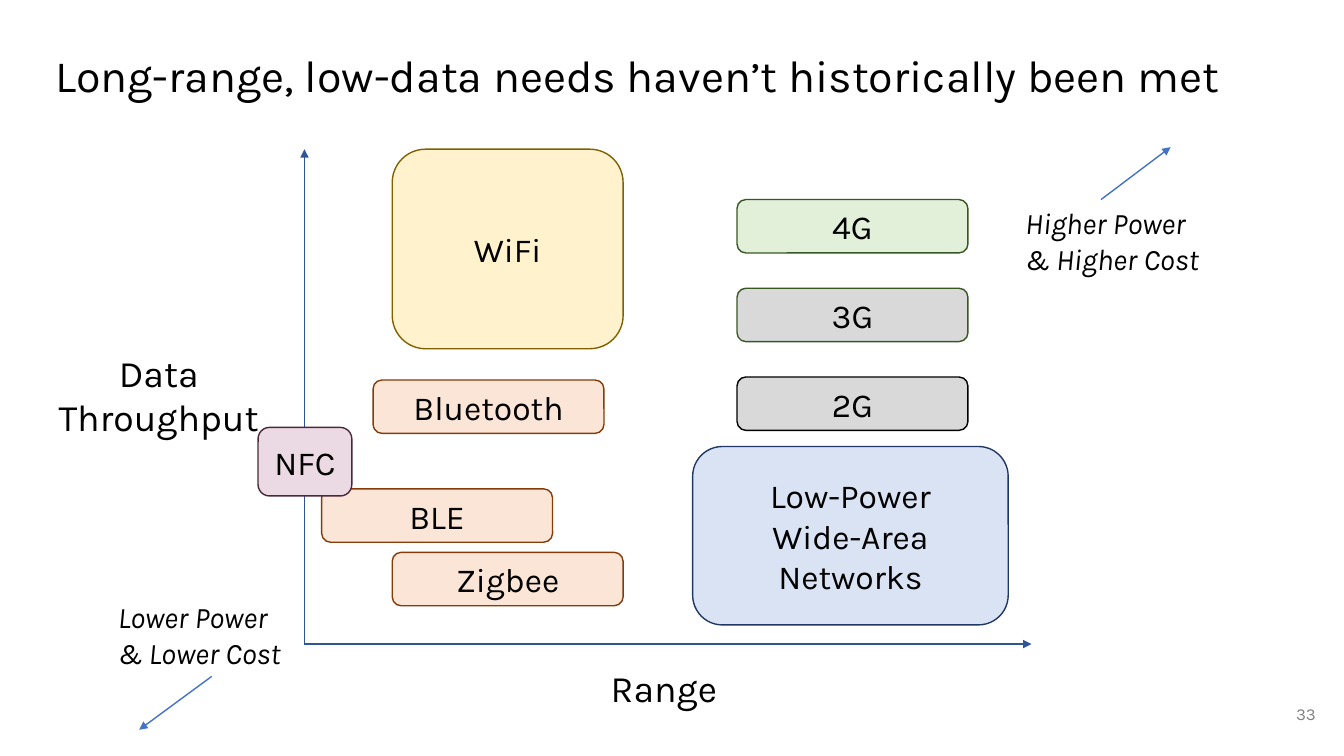
from pptx import Presentation
from pptx import util as u
from pptx.dml.color import RGBColor
from pptx.enum import shapes, text
from pptx.oxml import ns, xmlchemy

ALIGN = text.PP_ALIGN
ANCHOR = text.MSO_ANCHOR


def color(value):
    return RGBColor.from_string(value)


class Slide:
    font = "Karla"
    ink = "000000"
    line_width = u.Pt(1)

    def __init__(self, deck):
        self.page = deck.slides.add_slide(deck.slide_layouts[6])

    def fill_text(self, frame, paragraphs, size, align, ink=None, italic=False, spacing=None):
        frame.word_wrap = True
        for index, content in enumerate(paragraphs):
            para = frame.paragraphs[0] if index == 0 else frame.add_paragraph()
            para.text = content
            para.alignment = align
            para.line_spacing = spacing
            para.font.name = self.font
            para.font.size = u.Pt(size)
            para.font.italic = italic
            para.font.color.rgb = color(ink or self.ink)

    def label(self, paragraphs, left, top, width, height, size, align=ALIGN.LEFT,
              anchor=ANCHOR.TOP, inset=None, **style):
        box = self.page.shapes.add_textbox(*map(u.Inches, (left, top, width, height)))
        frame = box.text_frame
        frame.vertical_anchor = anchor
        if inset is not None:
            frame.margin_left = frame.margin_right = u.Inches(inset)
            frame.margin_top = frame.margin_bottom = u.Inches(inset)
        self.fill_text(frame, paragraphs, size, align, **style)

    def block(self, name, left, top, fill, line, width=2.29, height=0.53):
        box = self.page.shapes.add_shape(
            shapes.MSO_SHAPE.ROUNDED_RECTANGLE, *map(u.Inches, (left, top, width, height)))
        box.shadow.inherit = False
        box.fill.solid()
        box.fill.fore_color.rgb = color(fill)
        box.line.color.rgb = color(line)
        box.line.width = self.line_width
        box.text_frame.vertical_anchor = ANCHOR.MIDDLE
        self.fill_text(box.text_frame, [name], 24, ALIGN.CENTER)

    def arrow(self, start, end, line):
        arrow = self.page.shapes.add_connector(
            shapes.MSO_CONNECTOR.STRAIGHT, *map(u.Inches, start + end))
        arrow.line.color.rgb = color(line)
        arrow.line.width = self.line_width
        head = xmlchemy.OxmlElement("a:tailEnd")
        head.set("type", "triangle")
        properties = arrow._element.spPr
        properties.find(ns.qn("a:ln")).append(head)
        properties.append(xmlchemy.OxmlElement("a:effectLst"))


def main():
    deck = Presentation()
    deck.slide_width = u.Inches(13.33)
    deck.slide_height = u.Inches(7.5)
    slide = Slide(deck)

    slide.label(["Long-range, low-data needs haven’t historically been met"],
                0.45, 0.43, 12.42, 0.84, 32, inset=0.1, spacing=0.9)
    slide.label(["33"], 12.35, 6.8, 0.8, 0.57, 12, ALIGN.RIGHT, ANCHOR.MIDDLE,
                inset=0.1, ink="808080")

    origin = (3.02, 6.39)
    for axis_end in ((3.02, 1.48), (10.23, 6.39)):
        slide.arrow(origin, axis_end, "2F5597")

    for name, left, top in (("Bluetooth", 3.7, 3.77), ("BLE", 3.19, 4.85),
                            ("Zigbee", 3.89, 5.48)):
        slide.block(name, left, top, "FBE5D6", "843C0B")
    cellular = (("4G", "E2F0D9", "385723"), ("3G", "D9D9D9", "385723"),
                ("2G", "D9D9D9", "000000"))
    for row, (name, fill, line) in enumerate(cellular):
        slide.block(name, 7.31, 1.98 + row * 0.88, fill, line)
    slide.block("WiFi", 3.89, 1.48, "FFF2CC", "806000", height=1.98)
    slide.block("Low-Power\vWide-Area Networks", 6.87, 4.43, "DAE3F3", "203864", 3.13, 1.77)

    slide.label(["Data", "Throughput"], 0.45, 3.42, 2.25, 1, 26.7, ALIGN.CENTER)
    slide.label(["Range"], 5.58, 6.55, 2.01, 0.55, 26.7, ALIGN.CENTER)
    slide.label(["Lower Power\v& Lower Cost"], 1.07, 5.89, 2.03, 0.82, 21.3, italic=True)
    slide.label(["Higher Power\v& Higher Cost"], 10.07, 1.98, 2.16, 0.82, 21.3, italic=True)
    slide.arrow((2.1, 6.71), (1.38, 7.24), "4472C4")
    slide.arrow((10.92, 1.98), (11.61, 1.46), "4472C4")
    slide.block("NFC", 2.56, 4.24, "EBDAE3", "4A2839", 0.93, 0.68)

    deck.save("out.pptx")


if __name__ == "__main__":
    main()
